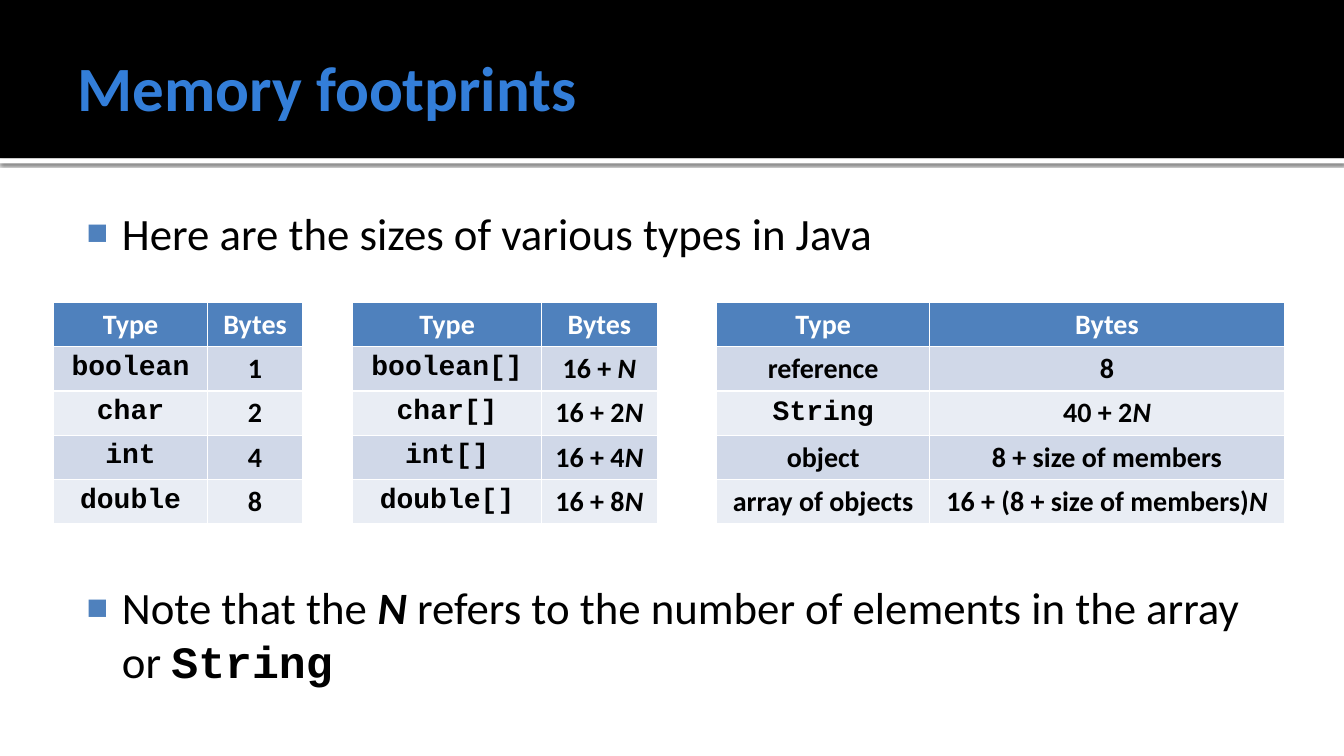
from lxml.etree import SubElement
from pptx import Presentation
from pptx.dml.color import RGBColor
from pptx.enum.shapes import MSO_SHAPE as Shape
from pptx.enum.text import MSO_ANCHOR as Anchor, PP_ALIGN as Align
from pptx.oxml.ns import qn
from pptx.util import Emu, Inches, Pt


def color(value):
    return RGBColor.from_string(value)


def code(text):
    return [(text, "code")]


def plain(text):
    return [(text, "plain")]


def times_n(text):
    return [(text, "plain"), ("N", "italic")]


class SlideBuilder:
    BODY_FONT, CODE_FONT = "Calibri", "Courier New"
    BLACK, WHITE, BLUE, TITLE_BLUE = "000000", "FFFFFF", "4F81BD", "337ED9"
    ROW_FILLS = ("D0D8E8", "E9EDF4")

    def __init__(self, presentation):
        self.slide = presentation.slides.add_slide(presentation.slide_layouts[5])

    def add_runs(self, paragraph, runs, size, text_color, bold=False):
        for text, style in runs:
            run = paragraph.add_run()
            run.text = text
            font = run.font
            font.name = self.CODE_FONT if style == "code" else self.BODY_FONT
            font.size = Pt(size)
            font.bold = bold or style != "plain"
            font.italic = style == "italic"
            font.color.rgb = color(text_color)

    def set_margins(self, frame, left, top, right, bottom):
        frame.margin_left, frame.margin_top = Inches(left), Inches(top)
        frame.margin_right, frame.margin_bottom = Inches(right), Inches(bottom)

    def add_band(self, top, height, fill, shadow=False):
        shape = self.slide.shapes.add_shape(
            Shape.RECTANGLE, 0, Inches(top), Inches(13.33), Inches(height))
        shape.shadow.inherit = False
        shape.fill.solid()
        shape.fill.fore_color.rgb = color(fill)
        shape.line.fill.background()
        if shadow:
            effects = shape._element.spPr.find(qn("a:effectLst"))
            outer = SubElement(effects, qn("a:outerShdw"), blurRad=str(Pt(2.5)),
                               dist=str(Pt(0.8)), dir="5400000", rotWithShape="0")
            tint = SubElement(outer, qn("a:srgbClr"), val=self.BLACK)
            SubElement(tint, qn("a:alpha"), val="60000")

    def add_title(self, text):
        title = self.slide.shapes.title
        # Bring the title in front of the bands
        self.slide.shapes._spTree.append(title._element)
        title.left, title.top = Inches(0.67), Inches(0.17)
        title.width, title.height = Inches(12), Inches(1.37)
        frame = title.text_frame
        frame.vertical_anchor = Anchor.MIDDLE
        self.set_margins(frame, 0.1, 0.05, 0.05, 0.05)
        paragraph = frame.paragraphs[0]
        paragraph.alignment = Align.LEFT
        self.add_runs(paragraph, plain(text), 45, self.TITLE_BLUE, bold=True)

    def add_bullets(self, items, gap):
        box = self.slide.shapes.add_textbox(
            Inches(0.67), Inches(1.94), Inches(12), Inches(5.06))
        frame = box.text_frame
        frame.word_wrap = True
        self.set_margins(frame, 0.06, 0.1, 0.1, 0.05)
        for index, runs in enumerate(items):
            paragraph = frame.add_paragraph() if index else frame.paragraphs[0]
            if index:
                paragraph.space_before = Pt(gap)
            properties = paragraph._p.get_or_add_pPr()
            properties.set("marL", str(Inches(0.48)))
            properties.set("indent", str(Inches(-0.35)))
            bullet_color = SubElement(properties, qn("a:buClr"))
            SubElement(bullet_color, qn("a:srgbClr"), val=self.BLUE)
            SubElement(properties, qn("a:buSzPct"), val="80000")
            SubElement(properties, qn("a:buFont"), typeface="Arial")
            SubElement(properties, qn("a:buChar"), char="■")
            self.add_runs(paragraph, runs, 32, self.BLACK)

    def add_table(self, left, widths, body, anchor):
        rows = [(plain("Type"), plain("Bytes"))] + body
        row_height = Inches(0.44)
        table = self.slide.shapes.add_table(
            len(rows), len(widths), Inches(left), Inches(3),
            Inches(sum(widths)), Emu(row_height * len(rows))).table
        for column, width in zip(table.columns, widths):
            column.width = Inches(width)
        for row_index, row in enumerate(rows):
            table.rows[row_index].height = row_height
            header = row_index == 0
            fill = self.BLUE if header else self.ROW_FILLS[(row_index - 1) % 2]
            for column_index, runs in enumerate(row):
                cell = table.cell(row_index, column_index)
                cell.fill.solid()
                cell.fill.fore_color.rgb = color(fill)
                cell.vertical_anchor = Anchor.TOP if header else anchor
                paragraph = cell.text_frame.paragraphs[0]
                paragraph.alignment = Align.CENTER
                self.add_runs(paragraph, runs, 20,
                              self.WHITE if header else self.BLACK, bold=True)


def main():
    presentation = Presentation()
    presentation.slide_width, presentation.slide_height = Inches(13.33), Inches(7.5)
    builder = SlideBuilder(presentation)

    # Header
    builder.add_band(1.57, 0.05, builder.WHITE, shadow=True)
    builder.add_band(0, 1.57, builder.BLACK)
    builder.add_title("Memory footprints")

    # Bullets above and below the tables
    builder.add_bullets([
        plain("Here are the sizes of various types in Java"),
        [("Note that the ", "plain"), ("N", "italic"),
         (" refers to the number of elements in the array or ", "plain"),
         ("String", "code")],
    ], gap=229)

    # Primitive types and their arrays
    sizes = {"boolean": 1, "char": 2, "int": 4, "double": 8}
    primitives = [(code(name), plain(str(size))) for name, size in sizes.items()]
    arrays = [(code(f"{name}[]"), times_n(f"16 + {size if size > 1 else ''}"))
              for name, size in sizes.items()]
    builder.add_table(0.53, (1.53, 0.94), primitives, Anchor.TOP)
    builder.add_table(3.5, (1.87, 1.15), arrays, Anchor.TOP)

    # Reference types
    references = [
        (plain("reference"), plain("8")),
        (code("String"), times_n("40 + 2")),
        (plain("object"), plain("8 + size of members")),
        (plain("array of objects"), times_n("16 + (8 + size of members)")),
    ]
    builder.add_table(7.11, (2.11, 3.52), references, Anchor.MIDDLE)

    presentation.save("out.pptx")


if __name__ == "__main__":
    main()
